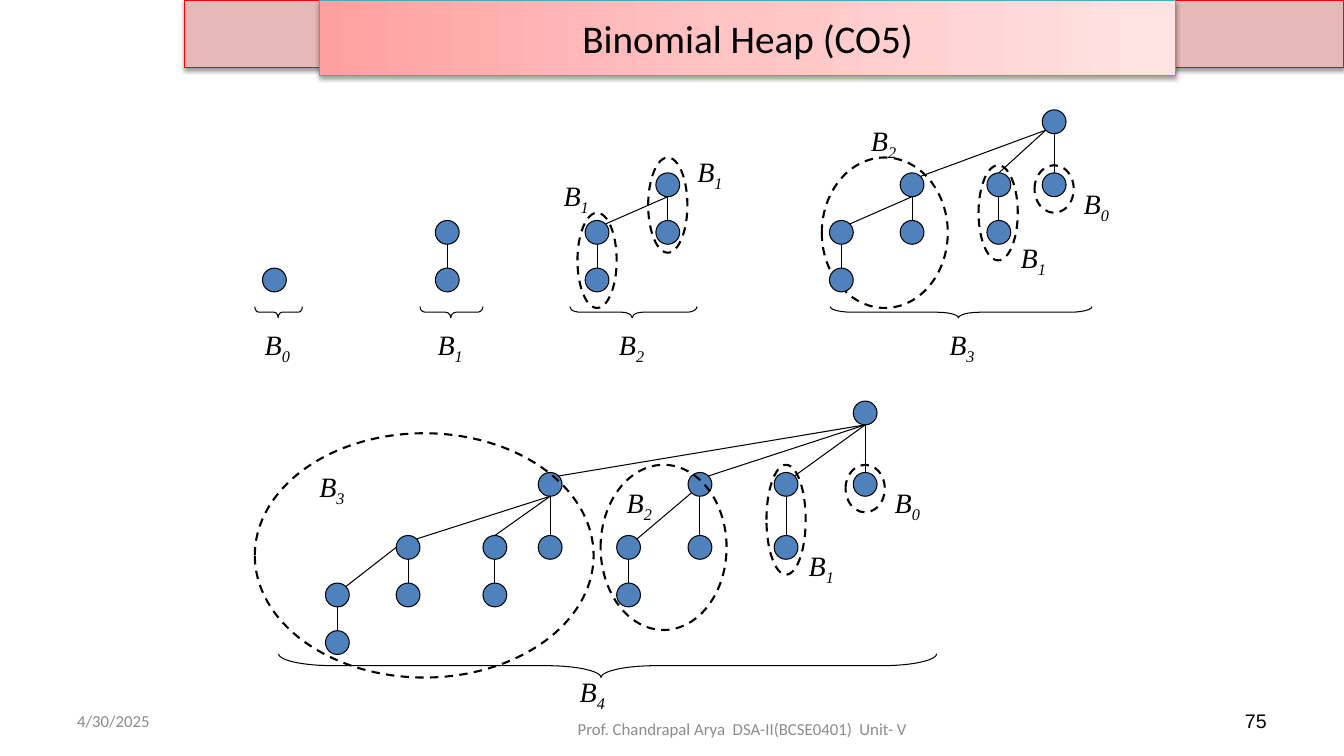
"""Build the slide that shows binomial trees B0 to B4 and their subtrees."""
from copy import deepcopy

from lxml.etree import SubElement
from pptx import Presentation
from pptx.dml.color import RGBColor
from pptx.enum.dml import MSO_LINE
from pptx.enum.shapes import MSO_CONNECTOR, MSO_SHAPE as SHAPE
from pptx.enum.text import MSO_ANCHOR as ANCHOR, PP_ALIGN as ALIGN
from pptx.oxml.ns import qn
from pptx.util import Pt

NODE = 17
ANCHORS = {"top": (0, -8.5), "bottom": (0, 8.5), "left": (-8.5, 0),
           "upper right": (6, -6), "lower left": (-6, 6)}

# Each node: centre x, centre y, then parent index, leaving and arriving anchors.
SLANT = ("bottom", "upper right")
DOWN = ("bottom", "top")
UPPER_TREES = [
    [(196, 200)],
    [(319.5, 166), (319.5, 200, 0, *DOWN)],
    [(477, 132), (477, 166, 0, *DOWN), (426.5, 166, 0, *SLANT), (426.5, 200, 2, *DOWN)],
    [(753, 87), (753, 132, 0, *DOWN),
     (713.5, 132, 0, "lower left", "top"), (713.5, 166, 2, *DOWN),
     (651.5, 132, 0, "lower left", "upper right"), (651.5, 166, 4, *DOWN),
     (601, 166, 4, *SLANT), (601, 200, 6, *DOWN)],
]
LOWER_TREES = [
    [(618, 295), (618, 346, 0, *DOWN),
     (561.5, 346, 0, *SLANT), (561.5, 391, 2, *DOWN),
     (500, 346, 0, *SLANT), (500, 391, 4, *DOWN),
     (449, 391, 4, "lower left", "upper right"), (449, 425, 6, *DOWN),
     (393, 346, 0, *SLANT), (393, 391, 8, *DOWN),
     (353.5, 391, 8, *DOWN), (353.5, 425, 10, *DOWN),
     (291.5, 391, 8, *SLANT), (291.5, 425, 12, *DOWN),
     (241, 425, 12, "left", "upper right"), (241, 459, 14, *DOWN)],
]
UPPER_RINGS = [(463, 112.5, 28, 68), (412.5, 152, 28, 68), (587, 112.5, 90, 107.5),
               (739, 118, 28, 34), (699, 118, 28, 68)]
LOWER_RINGS = [(182, 309.5, 242, 174.5), (429, 332, 90, 118),
               (547.5, 332, 28, 78.5), (604, 332, 28, 34)]
BRACES = [(182, 219, 34, 8), (300, 219, 45, 8), (407, 219, 91, 8),
          (593, 219, 187, 8), (199, 467, 470, 17)]
LABELS = [(182, 230.5, 0), (305.5, 230.5, 1), (435, 230.5, 2), (671, 230.5, 3),
          (395.5, 124, 1), (491, 106.5, 1), (615, 84.5, 2), (722, 168.5, 1),
          (767, 129.5, 0), (407, 478, 4), (221, 332, 3), (440.5, 343.5, 2),
          (570.5, 388, 1), (632, 343.5, 0)]


def color(code):
    """Return the colour of a hex string."""
    return RGBColor.from_string(code)


def format_run(run, size, font, code):
    """Set the size, font and colour of a run."""
    run.font.size = Pt(size)
    run.font.name = font
    run.font.color.rgb = color(code)


def outline(shape, code, width=0.75):
    """Draw a solid outline around a shape."""
    shape.line.color.rgb = color(code)
    shape.line.width = Pt(width)


def add_outlined(slide, kind, box, code="000000", fill=None, width=0.75):
    """Add a preset shape without shadow, hollow unless a fill is given."""
    shape = slide.shapes.add_shape(kind, *map(Pt, box))
    shape.shadow.inherit = False
    if fill:
        shape.fill.solid()
        shape.fill.fore_color.rgb = color(fill)
    else:
        shape.fill.background()
    outline(shape, code, width)
    return shape


def cast_shadow(shape):
    """Give a shape a soft shadow straight below it."""
    shape.shadow.inherit = False
    effects = shape._element.spPr.find(qn("a:effectLst"))
    shadow = SubElement(effects, qn("a:outerShdw"), blurRad="40000", dist="20000",
                        dir="5400000", rotWithShape="0")
    black = SubElement(shadow, qn("a:srgbClr"), val="000000")
    SubElement(black, qn("a:alpha"), val="38000")


def add_edge(slide, parent, child, leave, arrive):
    """Join two node centres at the named anchors."""
    (dx1, dy1), (dx2, dy2) = ANCHORS[leave], ANCHORS[arrive]
    ends = (parent[0] + dx1, parent[1] + dy1, child[0] + dx2, child[1] + dy2)
    edge = slide.shapes.add_connector(MSO_CONNECTOR.STRAIGHT, *map(Pt, ends))
    outline(edge, "000000")
    SubElement(edge._element.spPr, qn("a:effectLst"))


def add_tree(slide, nodes):
    """Draw a tree of nodes, each joined to its parent."""
    for x, y, *link in nodes:
        add_outlined(slide, SHAPE.OVAL, (x - NODE / 2, y - NODE / 2, NODE, NODE),
                     fill="4F81BD")
        if link:
            parent, leave, arrive = link
            add_edge(slide, nodes[parent], (x, y), leave, arrive)


def add_ring(slide, box):
    """Circle a subtree with a dashed ellipse."""
    ring = add_outlined(slide, SHAPE.OVAL, box, width=1.5)
    ring.line.dash_style = MSO_LINE.DASH


def add_brace(slide, left, top, length, depth):
    """Add a brace that opens upwards under a tree."""
    box = (left + (length - depth) / 2, top - (length - depth) / 2, depth, length)
    brace = add_outlined(slide, SHAPE.LEFT_BRACE, box)
    brace.rotation = 270
    brace.adjustments[0] = length / depth / 12
    brace.adjustments[1] = 0.49


def add_label(slide, left, top, order):
    """Name a tree with B and its order as subscript."""
    label = slide.shapes.add_textbox(Pt(left), Pt(top), Pt(34), Pt(31.5))
    label.text_frame.word_wrap = False
    paragraph = label.text_frame.paragraphs[0]
    for text in ("B", str(order)):
        run = paragraph.add_run()
        run.text = text
        format_run(run, 20, "Times New Roman", "000000")
        run.font.italic = True
    run.font._element.set("baseline", "-25000")


def add_footer(slide, text, box, align, size, font, code):
    """Add one vertically centred footer text."""
    footer = slide.shapes.add_textbox(*map(Pt, box)).text_frame
    footer.word_wrap = True
    footer.vertical_anchor = ANCHOR.MIDDLE
    footer.text = text
    footer.paragraphs[0].alignment = align
    format_run(footer.paragraphs[0].runs[0], size, font, code)


def format_title(slide):
    """Place the title in front, on a pink gradient."""
    title = slide.shapes.title
    title.left, title.top, title.width, title.height = map(Pt, (228, 0, 612, 54))
    title.fill.gradient()
    title.fill.gradient_angle = 0
    stop_list = title._element.spPr.find(qn("a:gradFill")).find(qn("a:gsLst"))
    stop_list.insert(1, deepcopy(stop_list[0]))
    for stop, position, code in zip(title.fill.gradient_stops, (0, 0.5, 1),
                                    ("FFA0A0", "FFC5C5", "FFE3E3")):
        stop.position = position
        stop.color.rgb = color(code)
    outline(title, "46AAC5")
    cast_shadow(title)
    title.text_frame.text = "Binomial Heap (CO5)"
    title.text_frame.vertical_anchor = ANCHOR.MIDDLE
    title.text_frame.paragraphs[0].alignment = ALIGN.CENTER
    format_run(title.text_frame.paragraphs[0].runs[0], 28, "Calibri", "000000")
    slide.shapes._spTree.append(title._element)


def main():
    """Build and save the slide."""
    deck = Presentation()
    deck.slide_width, deck.slide_height = Pt(960), Pt(540)
    slide = deck.slides.add_slide(deck.slide_layouts[5])
    cast_shadow(add_outlined(slide, SHAPE.RECTANGLE, (132, 0, 828, 48), "FF0000", "E6B9B8"))
    for ring in UPPER_RINGS:
        add_ring(slide, ring)
    for tree in UPPER_TREES + LOWER_TREES:
        add_tree(slide, tree)
    for ring in LOWER_RINGS:
        add_ring(slide, ring)
    for brace in BRACES:
        add_brace(slide, *brace)
    for label in LABELS:
        add_label(slide, *label)
    format_title(slide)
    add_footer(slide, "4/30/2025", (48, 500.5, 224, 28.5), ALIGN.LEFT, 12, "Calibri", "8C8C8C")
    add_footer(slide, "Prof. Chandrapal Arya  DSA-II(BCSE0401)  Unit- V",
               (363.5, 506, 333.5, 28.5), ALIGN.CENTER, 12, "Calibri", "8C8C8C")
    add_footer(slide, "75", (688, 500.5, 224, 28.5), ALIGN.RIGHT, 14, "Arial", "000000")
    deck.save("out.pptx")


if __name__ == "__main__":
    main()
